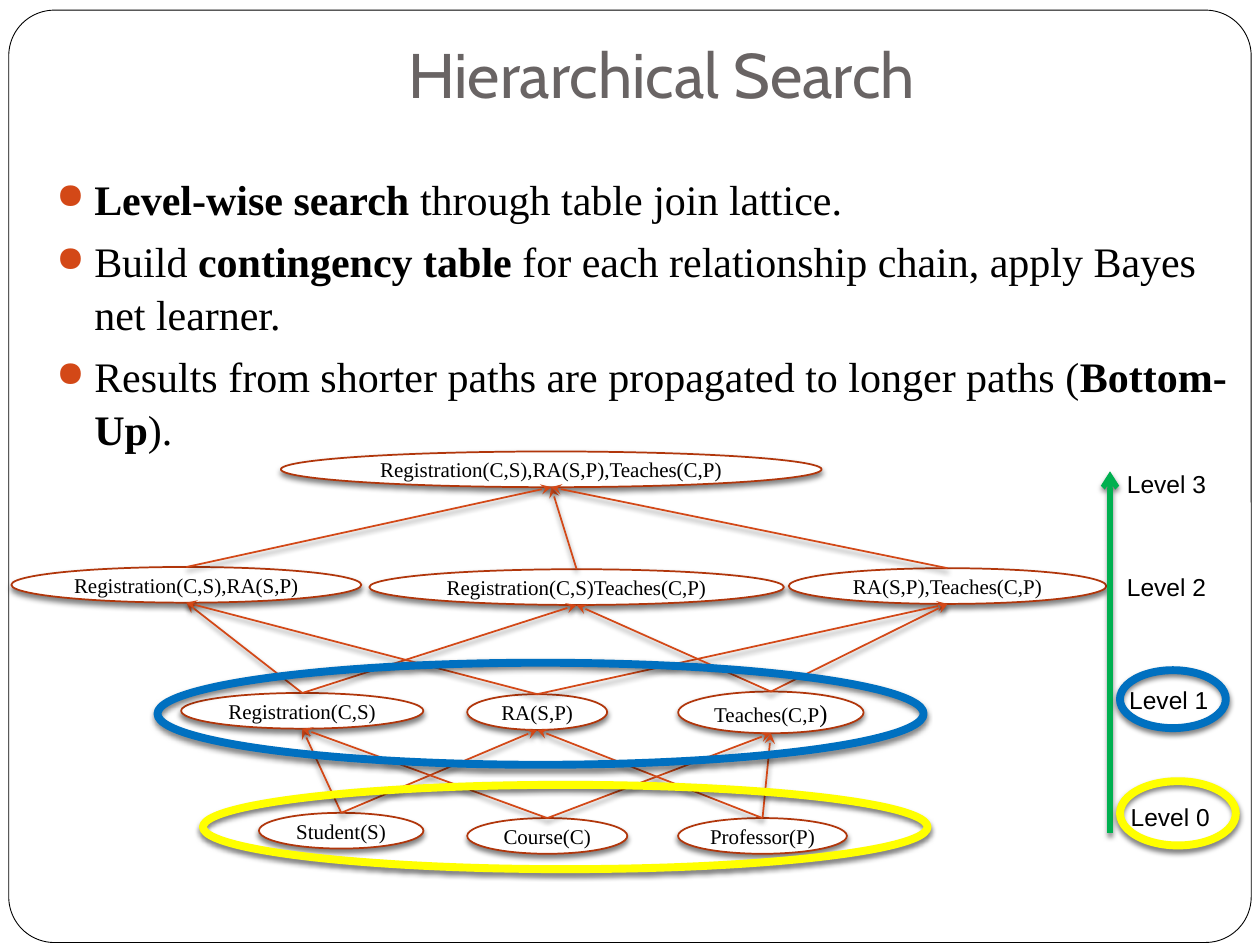
from lxml import etree
from pptx import Presentation
from pptx.dml.color import RGBColor
from pptx.enum.shapes import MSO_CONNECTOR as CONN, MSO_SHAPE as SHAPE
from pptx.enum.text import MSO_ANCHOR as ANCHOR, PP_ALIGN as ALIGN
from pptx.oxml.ns import qn
from pptx.util import Pt

COLORS = {"white": "FFFFFF", "black": "000000", "title": "696464",
          "edge": "D34817", "node": "B1360B", "axis": "00B050",
          "level0": "FFFF00", "level1": "0070C0"}
SERIF = "Times New Roman"
NODE_H = 20.4

BULLETS = [
    [("Level-wise search ", True), ("through table join lattice.", False)],
    [("Build ", False), ("contingency table ", True),
     ("for each relationship chain, apply Bayes net learner.", False)],
    [("Results from shorter paths are propagated to longer paths (", False),
     ("Bottom-Up", True), (").", False)],
]
NODES = {
    "student": (142, 206.5, 94, NODE_H, [("Student(S)", 12)]),
    "course": (261, 209.5, 91.5, NODE_H, [("Course(C)", 12)]),
    "professor": (381.5, 209.5, 96.5, NODE_H, [("Professor(P)", 12)]),
    "reg": (97.5, 138, 138.5, NODE_H, [("Registration(C,S)", 12)]),
    "ra": (261, 138.7, 80, NODE_H, [("RA(S,P)", 12)]),
    "teaches": (381.5, 137.2, 106, 23.8, [("Teaches(C,P", 12), (")", 14)]),
    "reg_ra": (0.5, 66, 200, NODE_H, [("Registration(C,S),RA(S,P)", 12)]),
    "reg_teaches": (205, 67.3, 237, NODE_H,
                    [("Registration(C,S)Teaches(C,P)", 12)]),
    "ra_teaches": (444.7, 66.7, 181.5, NODE_H, [("RA(S,P),Teaches(C,P)", 12)]),
    "all": (154.5, 0, 309, NODE_H,
            [("Registration(C,S),RA(S,P),Teaches(C,P)", 12)]),
}
PARENTS = {
    "student": ["reg", "ra"],
    "course": ["reg", "teaches"],
    "professor": ["teaches", "ra"],
    "reg": ["reg_ra", "reg_teaches"],
    "ra": ["reg_ra", "ra_teaches"],
    "teaches": ["reg_teaches", "ra_teaches"],
    "reg_ra": ["all"], "reg_teaches": ["all"], "ra_teaches": ["all"],
}
LEVELS = [("Level 3", 9.7, 10), ("Level 2", 9.7, 69),
          ("Level 1", 11, 133.7), ("Level 0", 11.8, 200.6)]
RINGS = [("level0", 110, 190.5, 414, 48.2), ("level1", 84, 120.7, 437.8, 58.3),
         ("level0", 634, 188.4, 66.2, 36.7), ("level1", 634, 125, 60.5, 33.1)]


def rgb(name):
    return RGBColor.from_string(COLORS[name])


def add_shadow(effects):
    shadow = etree.SubElement(effects, qn("a:outerShdw"), blurRad=str(Pt(3)),
                              dist=str(Pt(2)), dir="5400000", rotWithShape="0")
    clr = etree.SubElement(shadow, qn("a:srgbClr"), val=COLORS["black"])
    etree.SubElement(clr, qn("a:alpha"), val="50000")


def add_outline(slide, kind, box, line, width, fill=None, shadow=True):
    sp = slide.shapes.add_shape(kind, *map(Pt, box))
    sp.shadow.inherit = False
    if fill:
        sp.fill.solid()
        sp.fill.fore_color.rgb = rgb(fill)
    else:
        sp.fill.background()
    sp.line.color.rgb = rgb(line)
    sp.line.width = Pt(width)
    if shadow:
        add_shadow(sp._element.spPr.find(qn("a:effectLst")))
    return sp


def add_arrow(slide, start, end, color, width, head):
    line = slide.shapes.add_connector(CONN.STRAIGHT, *map(Pt, start + end))
    line.line.color.rgb = rgb(color)
    line.line.width = Pt(width)
    sp_pr = line._element.spPr
    etree.SubElement(sp_pr.find(qn("a:ln")), qn("a:tailEnd"), type=head)
    add_shadow(etree.SubElement(sp_pr, qn("a:effectLst")))


def add_run(p, text, size, font, color="black", bold=None):
    r = p.add_run()
    r.text = text
    r.font.size, r.font.name, r.font.bold = Pt(size), font, bold
    r.font.color.rgb = rgb(color)


def set_margins(tf, left, top, right, bottom):
    tf.margin_left, tf.margin_top = Pt(left), Pt(top)
    tf.margin_right, tf.margin_bottom = Pt(right), Pt(bottom)


def add_frame(slide, box):
    sp = add_outline(slide, SHAPE.ROUNDED_RECTANGLE, box, "black", 0.5,
                     "white", shadow=False)
    sp.adjustments[0] = 0.049
    slide.shapes._spTree.insert(2, sp._element)


def place_title(slide, box):
    title = slide.shapes.title
    title.left, title.top, title.width, title.height = map(Pt, box)
    tf = title.text_frame
    tf.vertical_anchor = ANCHOR.BOTTOM
    set_margins(tf, 7.2, 3.6, 7.2, 7.2)
    p = tf.paragraphs[0]
    p.alignment = ALIGN.CENTER
    add_run(p, "Hierarchical Search", 36, "Cabin", "title")


def add_bullets(slide, box):
    tf = slide.shapes.add_textbox(*map(Pt, box)).text_frame
    tf.word_wrap = True
    for i, runs in enumerate(BULLETS):
        p = tf.add_paragraph() if i else tf.paragraphs[0]
        p.line_spacing = 1.04
        p.space_before = Pt(5.8 if i else 0)
        p_pr = p._p.get_or_add_pPr()
        p_pr.set("marL", str(Pt(21.6)))
        p_pr.set("indent", str(-Pt(21.6)))
        clr = etree.SubElement(p_pr, qn("a:buClr"))
        etree.SubElement(clr, qn("a:srgbClr"), val=COLORS["edge"])
        etree.SubElement(p_pr, qn("a:buSzPct"), val="85000")
        etree.SubElement(p_pr, qn("a:buChar"), char="●")
        for text, bold in runs:
            add_run(p, text, 24, SERIF, bold=bold)


def add_lattice(slide, left, top):
    for x, y, w, h, runs in NODES.values():
        sp = add_outline(slide, SHAPE.OVAL, (left + x, top + y, w, h),
                         "node", 1, "white")
        tf = sp.text_frame
        tf.word_wrap = False
        tf.vertical_anchor = ANCHOR.MIDDLE
        set_margins(tf, 0, 0, 0, 0)
        p = tf.paragraphs[0]
        p.alignment = ALIGN.CENTER
        for text, size in runs:
            add_run(p, text, size, SERIF)
    for child, parents in PARENTS.items():
        x, y, w, h, runs = NODES[child]
        start = (left + x + w / 2, top + y)
        for parent in parents:
            x, y, w, h, runs = NODES[parent]
            end = (left + x + w / 2, top + y + h)
            add_arrow(slide, start, end, "edge", 1, "stealth")


def add_level_axis(slide, left, top):
    add_arrow(slide, (left, top + 218), (left, top + 11.3), "axis", 3, "arrow")
    for text, x, y in LEVELS:
        label = slide.shapes.add_textbox(Pt(left + x), Pt(top + y),
                                         Pt(53.3), Pt(17.3))
        tf = label.text_frame
        tf.word_wrap = False
        set_margins(tf, 0, 0, 0, 0)
        add_run(tf.paragraphs[0], text, 14, "Arial")


def add_level_rings(slide, left, top):
    for color, x, y, w, h in RINGS:
        add_outline(slide, SHAPE.OVAL, (left + x, top + y, w, h), color, 4.5)


def main():
    prs = Presentation()
    prs.slide_width, prs.slide_height = Pt(720), Pt(540)
    slide = prs.slides.add_slide(prs.slide_layouts[5])
    add_frame(slide, (5, 5.8, 710, 532.8))
    place_title(slide, (72, 18.7, 612, 51.8))
    add_bullets(slide, (25.2, 94.3, 688.3, 140.4))
    add_lattice(slide, 6, 258)
    add_level_axis(slide, 634.3, 258)
    add_level_rings(slide, 6, 258)
    prs.save("out.pptx")


if __name__ == "__main__":
    main()
